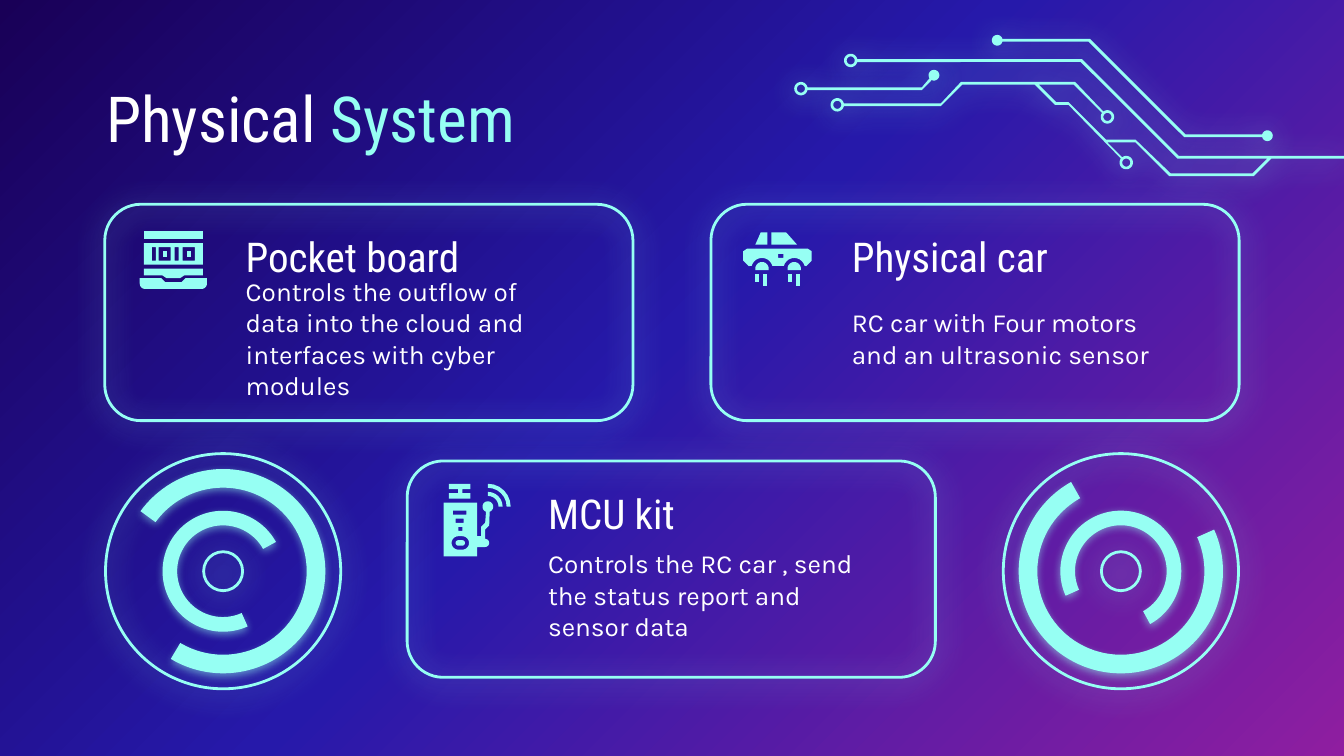
from copy import deepcopy
from dataclasses import dataclass
from math import cos, radians, sin

from lxml.etree import SubElement
from pptx import Presentation
from pptx.dml.color import RGBColor
from pptx.enum.shapes import MSO_SHAPE
from pptx.enum.text import MSO_ANCHOR
from pptx.oxml.ns import qn
from pptx.util import Inches, Pt

COLORS = {"neon": "96FFF3", "card_glow": "98FAFC", "white": "FFFFFF",
          "navy": "190057", "blue": "2619AA", "purple": "8F1EA0"}
BACKGROUND = [("navy", 0), ("blue", 48), ("purple", 100)]
HEADING, BODY = "Roboto Condensed", "Karla"
Contour = list[tuple[float, float]]


@dataclass
class Glow:
    color: str = "neon"
    alpha: int = 67
    blur: float = 15.8


@dataclass
class Card:
    left: float
    top: float
    title: str
    body: str


@dataclass
class Gauge:
    x: float
    y: float
    outer_turn: int
    inner_turn: int


CARDS = [
    Card(5.29, 1.52, "Physical car", "RC car with Four motors and an ultrasonic sensor"),
    Card(3.03, 3.43, "MCU kit", "Controls the RC car , send the status report and sensor data"),
    Card(0.78, 1.52, "Pocket board",
         "Controls the outflow of data into the cloud and interfaces with cyber modules"),
]
GAUGES = [Gauge(1.66, 4.25, 90, 300), Gauge(8.34, 4.25, 210, 30)]


# Outline helpers, in inches and clockwise degrees
def arc(x: float, y: float, radius: float, start: float, end: float) -> Contour:
    steps = max(4, round(abs(end - start) / 15))
    angles = [radians(start + (end - start) * i / steps) for i in range(steps + 1)]
    return [(x + radius * cos(a), y + radius * sin(a)) for a in angles]


def box(left: float, top: float, right: float, bottom: float) -> Contour:
    return [(left, top), (right, top), (right, bottom), (left, bottom)]


def hole(x: float, y: float) -> Contour:
    return arc(x, y, 0.03, 0, 360)


def left_node(x: float, y: float, radius: float = 0.05) -> Contour:
    return arc(x, y, radius, -15, -345)


def end_node(x: float, y: float) -> Contour:
    return arc(x, y, 0.05, 217, -127)


def capsule(left: float, right: float, y: float, radius: float) -> Contour:
    return arc(left, y, radius, 90, 270) + arc(right, y, radius, -90, 90)


def circuit_traces() -> list[list[Contour]]:
    short = ([(6.01, 0.67), (6.86, 0.67), (6.93, 0.6)] + arc(6.95, 0.56, 0.04, 125, -215)
             + [(6.86, 0.65), (6.01, 0.65)] + left_node(5.96, 0.66))
    upper = ([(7.46, 0.31), (8.1, 0.31), (8.81, 1.02), (9.39, 1.02)]
             + arc(9.43, 1.01, 0.04, 165, -165)
             + [(8.82, 1), (8.11, 0.29), (7.46, 0.29)] + left_node(7.42, 0.3, 0.04))
    branched = ([(6.28, 0.79), (7, 0.79), (7.16, 0.63), (7.7, 0.63), (7.85, 0.78),
                 (7.95, 0.78), (8.34, 1.18)] + end_node(8.38, 1.21)
                + [(8.24, 1.06), (8.45, 1.06), (8.7, 1.31), (9.33, 1.31), (9.46, 1.18),
                   (10, 1.18), (10, 1.16), (8.77, 1.16), (8.05, 0.44), (6.38, 0.44)]
                + left_node(6.33, 0.45)
                + [(8.04, 0.46), (8.76, 1.18), (9.43, 1.18), (9.32, 1.29), (8.71, 1.29),
                   (8.45, 1.04), (8.23, 1.04), (7.95, 0.76), (7.86, 0.76), (7.73, 0.63),
                   (7.99, 0.63), (8.2, 0.84)] + end_node(8.24, 0.87)
                + [(8, 0.61), (7.15, 0.61), (7, 0.77), (6.28, 0.77)] + left_node(6.23, 0.78))
    nodes = [(8.38, 1.21), (6.33, 0.45), (8.24, 0.87), (6.23, 0.78)]
    return [[short, hole(5.96, 0.66)], [upper], [branched] + [hole(*node) for node in nodes]]


def controller_icon() -> list[list[Contour]]:
    waves = [[arc(3.63, 3.77, r, -90, 0) + arc(3.63, 3.77, r + 0.03, 0, -90)]
             for r in (0.08, 0.14)]
    antenna = [(3.34, 3.6), (3.34, 3.64), (3.41, 3.64), (3.41, 3.67), (3.34, 3.67), (3.34, 3.71),
               (3.5, 3.71), (3.5, 3.67), (3.44, 3.67), (3.44, 3.64), (3.5, 3.64), (3.5, 3.6)]
    case = ([(3.61, 3.89), (3.58, 3.92), (3.58, 3.99), (3.55, 3.99), (3.55, 3.74), (3.3, 3.74),
             (3.3, 4.14), (3.55, 4.14), (3.55, 4.07)] + arc(3.61, 4.04, 0.03, 90, -90)
            + [(3.61, 3.94), (3.64, 3.91)] + arc(3.63, 3.77, 0.04, 70, -250))
    slots = [box(3.37, 3.8, 3.47, 3.83), box(3.39, 3.86, 3.45, 3.89), box(3.41, 3.92, 3.44, 3.95)]
    return waves + [[antenna], [capsule(3.41, 3.44, 4.04, 0.02)],
                    [case, *slots, capsule(3.41, 3.44, 4.04, 0.05)]]


def computer_icon() -> list[list[Contour]]:
    digits = [box(left, 1.84, right, 1.94)
              for left, right in ((1.13, 1.16), (1.18, 1.27), (1.3, 1.33), (1.36, 1.45))]
    zeros = [[box(left, 1.87, left + 0.03, 1.91)] for left in (1.21, 1.39)]
    lower = [(1.07, 2), (1.07, 2.05), (1.21, 2.05), (1.24, 2.07), (1.34, 2.07), (1.37, 2.05),
             (1.51, 2.05), (1.51, 2)]
    base = ([(1.04, 2.07)] + arc(1.08, 2.11, 0.04, 180, 90) + arc(1.5, 2.11, 0.04, 90, 0)
            + [(1.54, 2.07), (1.38, 2.07), (1.35, 2.1), (1.23, 2.1), (1.2, 2.07)])
    return zeros + [[box(1.07, 1.72, 1.51, 1.78)], [box(1.07, 1.81, 1.51, 1.97), *digits],
                    [lower], [base]]


def car_icon() -> list[list[Contour]]:
    wheels = (5.67, 5.91)
    chassis = ([(5.56, 1.85), (5.53, 1.87), (5.53, 1.94), (5.57, 1.98)]
               + [point for x in wheels for point in arc(x, 2, 0.08, 195, 345)]
               + [(6, 1.98), (6.04, 1.94), (6.04, 1.87), (6.01, 1.85)])
    parts = [[[(5.66, 1.73), (5.62, 1.82), (5.71, 1.82), (5.71, 1.73)]],
             [[(5.74, 1.73), (5.74, 1.82), (5.93, 1.82), (5.85, 1.73)]],
             [chassis, box(5.79, 1.89, 5.83, 1.92)]]
    for x in wheels:
        parts += [[arc(x, 2, 0.05, 180, 360) + [(x + 0.05, 2.01), (x - 0.05, 2.01)]],
                  [box(x - 0.05, 2.04, x - 0.02, 2.1)], [box(x + 0.01, 2.04, x + 0.04, 2.13)]]
    return parts


# Drawing functions
def rgb(color: str) -> RGBColor:
    return RGBColor.from_string(COLORS[color])


def paint(shape, filled: bool, glow: Glow | None = None) -> None:
    shape.shadow.inherit = False
    if filled:
        shape.fill.solid()
        shape.fill.fore_color.rgb = rgb("neon")
        shape.line.fill.background()
    else:
        shape.fill.background()
        shape.line.color.rgb = rgb("neon")
        shape.line.width = Pt(1.5)
    if glow:
        effects = shape._element.spPr.find(qn("a:effectLst"))
        shadow = SubElement(effects, qn("a:outerShdw"), blurRad=str(Pt(glow.blur)),
                            dist=str(Pt(1.5)), dir="5400000", algn="bl", rotWithShape="0")
        tint = SubElement(shadow, qn("a:srgbClr"), val=COLORS[glow.color])
        SubElement(tint, qn("a:alpha"), val=str(glow.alpha * 1000))


def draw_outlines(slide, parts: list[list[Contour]], glow: Glow | None = None) -> None:
    group = slide.shapes.add_group_shape()
    for contours in parts:
        builder = None
        for contour in contours:
            start, *rest = [(Inches(x), Inches(y)) for x, y in contour]
            if builder is None:
                builder = group.shapes.build_freeform(*start)
            else:
                builder.move_to(*start)
            builder.add_line_segments(rest, close=True)
        paint(builder.convert_to_shape(), True, glow)


def draw_text(slide, at: tuple, runs: list[tuple[str, str]], font: str, size: int,
              inset: float = 0.1, anchor=MSO_ANCHOR.MIDDLE) -> None:
    frame = slide.shapes.add_textbox(*map(Inches, at)).text_frame
    layout = {"word_wrap": True, "vertical_anchor": anchor}
    layout |= {f"margin_{side}": Inches(inset) for side in ("left", "top", "right", "bottom")}
    for name, value in layout.items():
        setattr(frame, name, value)
    for words, color in runs:
        run = frame.paragraphs[0].add_run()
        run.text = words
        for name, value in {"name": font, "size": Pt(size)}.items():
            setattr(run.font, name, value)
        run.font.color.rgb = rgb(color)


def draw_gauge(slide, gauge: Gauge) -> None:
    group = slide.shapes.add_group_shape()
    soft = Glow(alpha=50, blur=4.5)
    rings = [(1.75, 0, None, Glow()), (1.52, gauge.outer_turn, (75.583, 18.505, 0.091), soft),
             (0.29, 0, None, Glow()), (0.9, gauge.inner_turn, (75.583, 18.615, 0.121), soft)]
    for size, turn, adjustments, glow in rings:
        kind = MSO_SHAPE.BLOCK_ARC if adjustments else MSO_SHAPE.OVAL
        ring = group.shapes.add_shape(kind, Inches(gauge.x - size / 2), Inches(gauge.y - size / 2),
                                      Inches(size), Inches(size))
        for index, value in enumerate(adjustments or ()):
            ring.adjustments[index] = value
        ring.rotation = turn
        paint(ring, bool(adjustments), glow)


def draw_background(slide) -> None:
    fill = slide.background.fill
    fill.gradient()
    fill.gradient_angle = 315
    stops = slide._element.find(".//" + qn("a:gsLst"))
    stops.append(deepcopy(stops[-1]))
    for stop, (color, position) in zip(fill.gradient_stops, BACKGROUND):
        stop.color.rgb = rgb(color)
        stop.position = position / 100


def main() -> None:
    deck = Presentation()
    # Widescreen, 16:9
    deck.slide_width, deck.slide_height = Inches(10), Inches(10 * 9 / 16)
    slide = deck.slides.add_slide(deck.slide_layouts[6])
    draw_background(slide)

    # Card frames and circuit
    for card in CARDS:
        frame = slide.shapes.add_shape(MSO_SHAPE.ROUNDED_RECTANGLE, Inches(card.left),
                                       Inches(card.top), Inches(3.93), Inches(1.61))
        paint(frame, False, Glow("card_glow"))
    draw_outlines(slide, circuit_traces(), Glow())

    # Headings, card texts and icons
    draw_text(slide, (0.79, 0.59, 8.43, 0.63), [("Physical ", "white"), ("System", "neon")],
              HEADING, 34, 0, MSO_ANCHOR.TOP)
    for card in CARDS:
        left = card.left + 0.95
        draw_text(slide, (left, card.top + 0.17, 2.56, 0.43), [(card.title, "white")], HEADING, 22)
        draw_text(slide, (left, card.top + 0.6, 2.56, 0.79), [(card.body, "white")], BODY, 14)
    for icon in (controller_icon, computer_icon, car_icon):
        draw_outlines(slide, icon())

    # Round gauges
    for gauge in GAUGES:
        draw_gauge(slide, gauge)
    deck.save("out.pptx")


if __name__ == "__main__":
    main()
